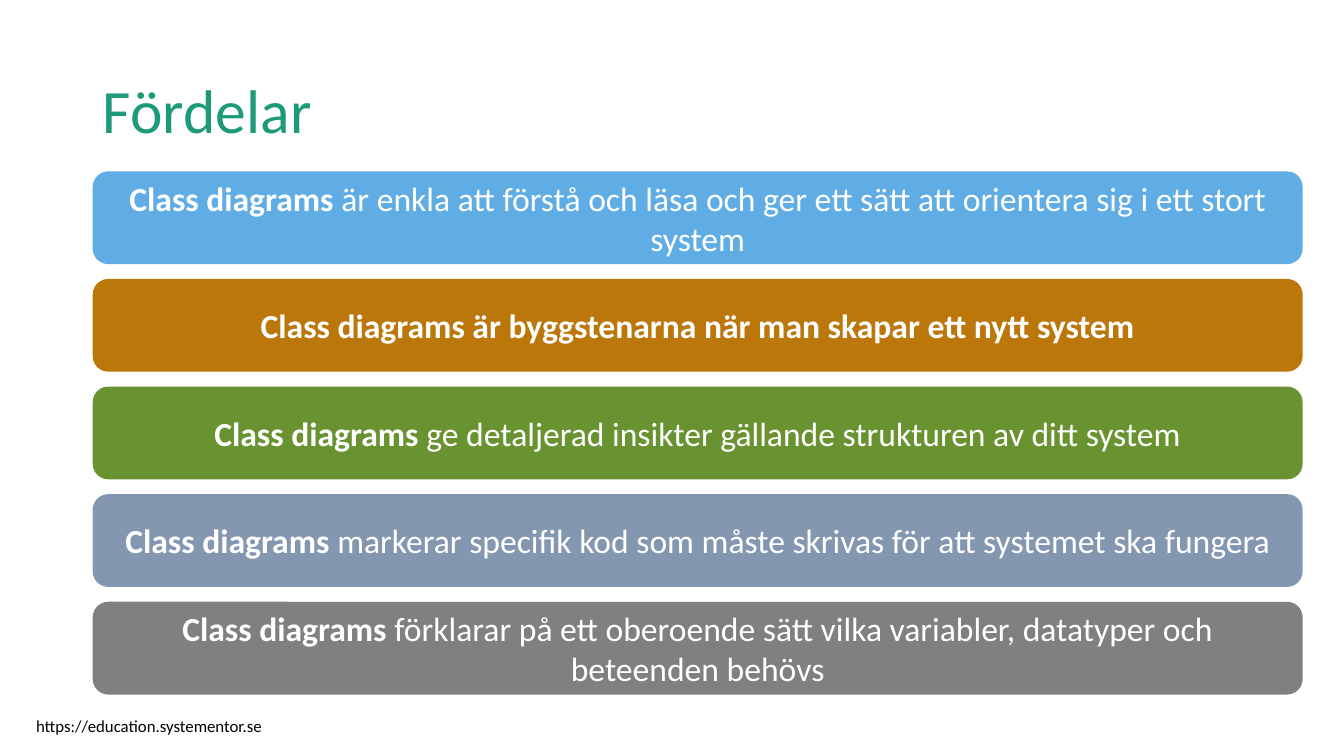
import dataclasses

import pptx
import pptx.dml.color
import pptx.enum.shapes
import pptx.enum.text
import pptx.util

ALIGN = pptx.enum.text.PP_ALIGN
ANCHOR = pptx.enum.text.MSO_ANCHOR
FIT = pptx.enum.text.MSO_AUTO_SIZE
ROUNDED = pptx.enum.shapes.MSO_SHAPE.ROUNDED_RECTANGLE


@dataclasses.dataclass(frozen=True)
class Theme:
    font: str = "Calibri"
    title: str = "1D9A78"
    ink: str = "000000"
    light: str = "FFFFFF"
    bars: tuple = ("5FADE4", "BC770B", "699331", "8497B0", "808080")
    title_size: int = 44
    bar_size: int = 24
    foot_size: int = 12


THEME = Theme()
TERM = "Class diagrams"
# Each benefit: bold words, then plain words
GAINS = (
    (TERM, " är enkla att förstå och läsa och ger ett sätt att orientera sig i ett stort system"),
    (TERM + " är byggstenarna när man skapar ett nytt system", ""),
    (TERM, " ge detaljerad insikter gällande strukturen av ditt system"),
    (TERM, " markerar specifik kod som måste skrivas för att systemet ska fungera"),
    (TERM, " förklarar på ett oberoende sätt vilka variabler, datatyper och beteenden behövs"),
)


def color(code):
    return pptx.dml.color.RGBColor.from_string(code)


def inches(box):
    return [pptx.util.Inches(side) for side in box]


def style(para, size, code):
    para.font.name = THEME.font
    para.font.size = pptx.util.Pt(size)
    para.font.color.rgb = color(code)


def add_title(slide, box, text):
    title = slide.shapes.title
    title.left, title.top, title.width, title.height = inches(box)
    frame = title.text_frame
    frame.text = text
    frame.auto_size = FIT.NONE
    frame.vertical_anchor = ANCHOR.MIDDLE
    para = frame.paragraphs[0]
    para.alignment = ALIGN.LEFT
    para.line_spacing = 0.9
    style(para, THEME.title_size, THEME.title)


def add_bar(slide, box, fill, bold, plain):
    bar = slide.shapes.add_shape(ROUNDED, *inches(box))
    bar.shadow.inherit = False
    bar.fill.solid()
    bar.fill.fore_color.rgb = color(fill)
    bar.line.fill.background()
    frame = bar.text_frame
    frame.word_wrap = True
    frame.vertical_anchor = ANCHOR.MIDDLE
    para = frame.paragraphs[0]
    para.alignment = ALIGN.CENTER
    style(para, THEME.bar_size, THEME.light)
    for text, heavy in ((bold, True), (plain, False)):
        if text:
            run = para.add_run()
            run.text = text
            run.font.bold = heavy


def add_stack(slide, box, gains, high):
    """Spread bars of the given height evenly down the box."""
    left, top, width, height = box
    pitch = (height - high) / (len(gains) - 1)
    for row, (fill, gain) in enumerate(zip(THEME.bars, gains)):
        add_bar(slide, (left, top + row * pitch, width, high), fill, *gain)


def add_foot(slide, box, text):
    frame = slide.shapes.add_textbox(*inches(box)).text_frame
    frame.word_wrap = True
    frame.text = text
    style(frame.paragraphs[0], THEME.foot_size, THEME.ink)


def main():
    deck = pptx.Presentation()
    deck.slide_width, deck.slide_height = inches((13.33, 7.5))
    slide = deck.slides.add_slide(deck.slide_layouts[5])
    margin = 0.92
    add_foot(slide, (0.26, 7.05, 3.9, 0.3), "https://education.systementor.se")
    add_title(slide, (margin, 0.4, 11.5, 1.45), "Fördelar")
    add_stack(slide, (margin, 1.7, 12, 5.19), GAINS, high=0.92)
    deck.save("out.pptx")


if __name__ == "__main__":
    main()
